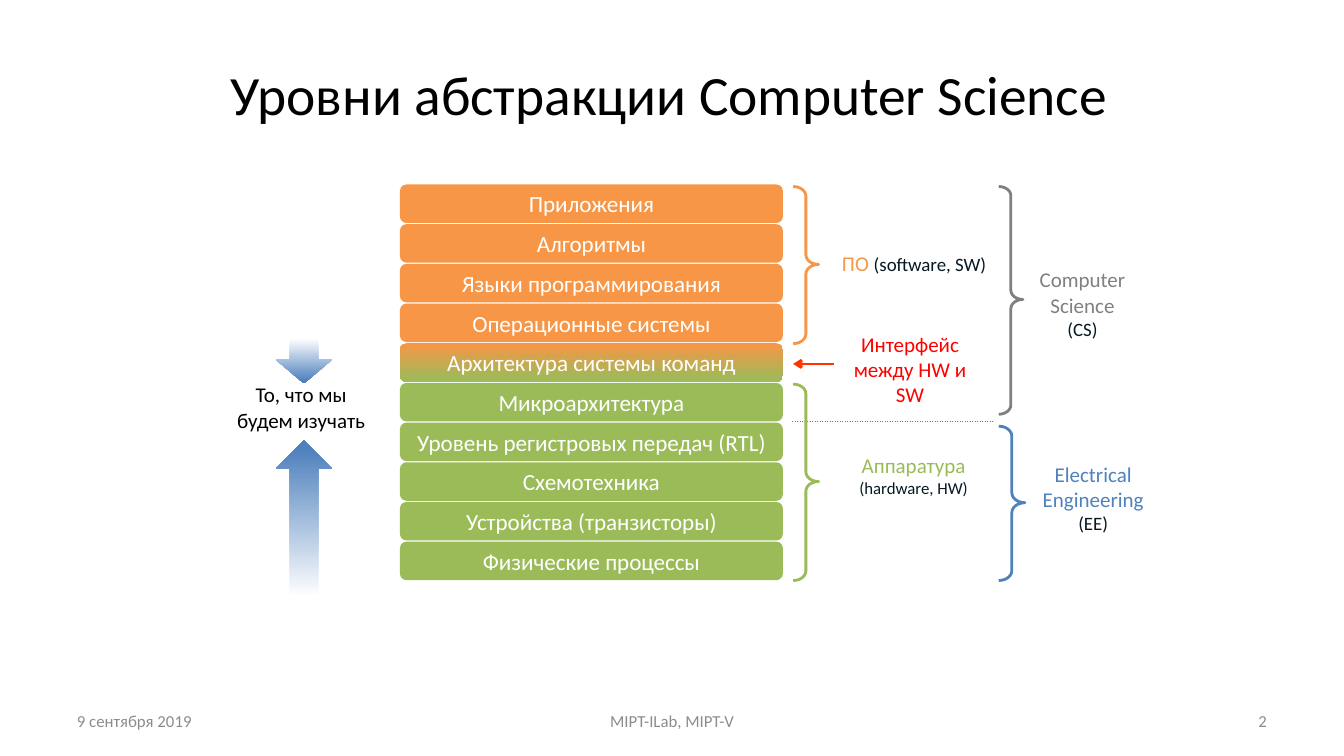
from lxml import etree
from pptx import Presentation
from pptx.dml.color import RGBColor
from pptx.enum.dml import MSO_LINE
from pptx.enum.shapes import MSO_CONNECTOR, MSO_SHAPE
from pptx.enum.text import MSO_ANCHOR, PP_ALIGN
from pptx.oxml.ns import qn
from pptx.util import Cm, Pt

LEFT, CENTER, RIGHT = PP_ALIGN.LEFT, PP_ALIGN.CENTER, PP_ALIGN.RIGHT
TOP, MIDDLE = MSO_ANCHOR.TOP, MSO_ANCHOR.MIDDLE
FONT = "Calibri"
COLORS = {
    "software": "F79646", "hardware": "9BBB59", "science": "808080",
    "engineering": "4F81BD", "interface": "FF0000", "pointer": "FF3300",
    "divider": "4B7EBC", "note": "061922", "footer": "8C8C8C",
    "black": "000000", "white": "FFFFFF",
}

# Content: abstraction levels from top to bottom
LEVELS = [
    ("Приложения", "software"),
    ("Алгоритмы", "software"),
    ("Языки программирования", "software"),
    ("Операционные системы", "software"),
    ("Архитектура системы команд", "both"),
    ("Микроархитектура", "hardware"),
    ("Уровень регистровых передач (RTL)", "hardware"),
    ("Схемотехника", "hardware"),
    ("Устройства (транзисторы)", "hardware"),
    ("Физические процессы", "hardware"),
]
BAR_LEFT, BAR_TOP, BAR_WIDTH, BAR_HEIGHT, BAR_STEP = 10.08, 4.65, 9.65, 0.97, 1.0

# Texts: box in cm, alignment, anchor, paragraphs of (text, size, color) runs
TEXTS = [
    ((5.38, 1.22, 22.96, 2.24), CENTER, MIDDLE,
     [[("Уровни абстракции Computer Science", 39.6, "black")]]),
    ((20.9, 6.2, 4.27, 0.89), CENTER, TOP,
     [[("ПО ", 15, "software"), ("(software, SW)", 13.5, "note")]]),
    ((21.18, 8.23, 3.51, 2.18), CENTER, TOP,
     [[("Интерфейс между HW и SW", 15, "interface")]]),
    ((20.98, 11.28, 4.09, 1.42), CENTER, TOP,
     [[("Аппаратура", 15, "hardware"), (" (hardware, HW)", 12, "note")]]),
    ((25.78, 6.6, 3.0, 2.11), CENTER, TOP,
     [[("Computer Science", 15, "science")], [("(CS)", 13.5, "note")]]),
    ((25.86, 11.51, 3.38, 2.11), CENTER, TOP,
     [[("Electrical Engineering", 15, "engineering")], [("(EE)", 13.5, "note")]]),
    ((5.56, 9.5, 4.06, 1.55), CENTER, TOP,
     [[("То, что мы будем изучать", 15, "black")]]),
    ((1.69, 17.65, 7.9, 1.02), LEFT, MIDDLE, [[("9 сентября 2019", 12, "footer")]]),
    ((9.32, 17.65, 15.24, 1.02), CENTER, MIDDLE, [[("MIPT-ILab, MIPT-V", 12, "footer")]]),
    ((24.28, 17.65, 7.9, 1.02), RIGHT, MIDDLE, [[("2", 12, "footer")]]),
]
BRACES = [
    ((19.99, 4.7, 0.64, 3.96), "software"),
    ((19.99, 9.68, 0.64, 4.95), "hardware"),
    ((25.17, 4.7, 0.61, 5.74), "science"),
    ((25.17, 10.74, 0.66, 3.89), "engineering"),
]
# Study arrows: preset, box, gradient angle from white to blue
STUDY_ARROWS = [
    (MSO_SHAPE.DOWN_ARROW, (6.95, 8.47, 1.42, 1.19), 270),
    (MSO_SHAPE.UP_ARROW, (6.95, 11.1, 1.42, 4.17), 90),
]


def rgb(name):
    return RGBColor.from_string(COLORS[name])


def style_font(font, size, color):
    font.name, font.size = FONT, Pt(size)
    font.color.rgb = rgb(color)


def write(frame, paragraphs, alignment, anchor):
    frame.vertical_anchor = anchor
    for index, runs in enumerate(paragraphs):
        paragraph = frame.add_paragraph() if index else frame.paragraphs[0]
        paragraph.alignment = alignment
        for text, size, color in runs:
            run = paragraph.add_run()
            run.text = text
            style_font(paragraph.font if len(runs) == 1 else run.font, size, color)


def add_shape(preset, box):
    shape = slide.shapes.add_shape(preset, *map(Cm, box))
    shape.shadow.inherit = False
    shape.line.fill.background()
    return shape


def fill_gradient(shape, stops, angle):
    shape.fill.gradient()
    shape.fill.gradient_angle = angle
    for stop, (position, color) in zip(shape.fill.gradient_stops, stops):
        stop.position = position
        stop.color.rgb = rgb(color)


def add_line(start, end, color, width):
    line = slide.shapes.add_connector(MSO_CONNECTOR.STRAIGHT, *map(Cm, start + end))
    line.line.color.rgb = rgb(color)
    line.line.width = Pt(width)
    etree.SubElement(line._element.spPr, qn("a:effectLst"))
    return line


presentation = Presentation()
presentation.slide_width, presentation.slide_height = Cm(33.87), Cm(19.05)
slide = presentation.slides.add_slide(presentation.slide_layouts[6])

# Divider between the two fields
divider = add_line((19.96, 10.62), (25.02, 10.62), "divider", 0.25)
divider.line.dash_style = MSO_LINE.DASH

# Stack of levels
for row, (name, kind) in enumerate(LEVELS):
    top = BAR_TOP + row * BAR_STEP
    bar = add_shape(MSO_SHAPE.ROUNDED_RECTANGLE, (BAR_LEFT, top, BAR_WIDTH, BAR_HEIGHT))
    if kind == "both":
        fill_gradient(bar, [(0, "software"), (0.97, "hardware")], 270)
    else:
        bar.fill.solid()
        bar.fill.fore_color.rgb = rgb(kind)
    frame = bar.text_frame
    frame.word_wrap = False
    frame.margin_left = frame.margin_right = Cm(0.18)
    frame.margin_top = frame.margin_bottom = Cm(0.1)
    write(frame, [[(name, 16.5, "white")]], CENTER, MIDDLE)

# Braces
for box, color in BRACES:
    brace = add_shape(MSO_SHAPE.RIGHT_BRACE, box)
    brace.adjustments[0], brace.adjustments[1] = 0.378, 0.496
    brace.fill.background()
    brace.line.color.rgb = rgb(color)
    brace.line.width = Pt(2)

# Pointer to the interface level
pointer = add_line((21.01, 9.17), (19.99, 9.17), "pointer", 2)
etree.SubElement(pointer.line._get_or_add_ln(), qn("a:tailEnd"), type="arrow")

# Study arrows
for preset, box, angle in STUDY_ARROWS:
    arrow = add_shape(preset, box)
    fill_gradient(arrow, [(0.05, "white"), (0.95, "engineering")], angle)

# Title, labels and footer
for box, alignment, anchor, paragraphs in TEXTS:
    text_box = slide.shapes.add_textbox(*map(Cm, box))
    text_box.text_frame.word_wrap = True
    write(text_box.text_frame, paragraphs, alignment, anchor)

presentation.save("out.pptx")
